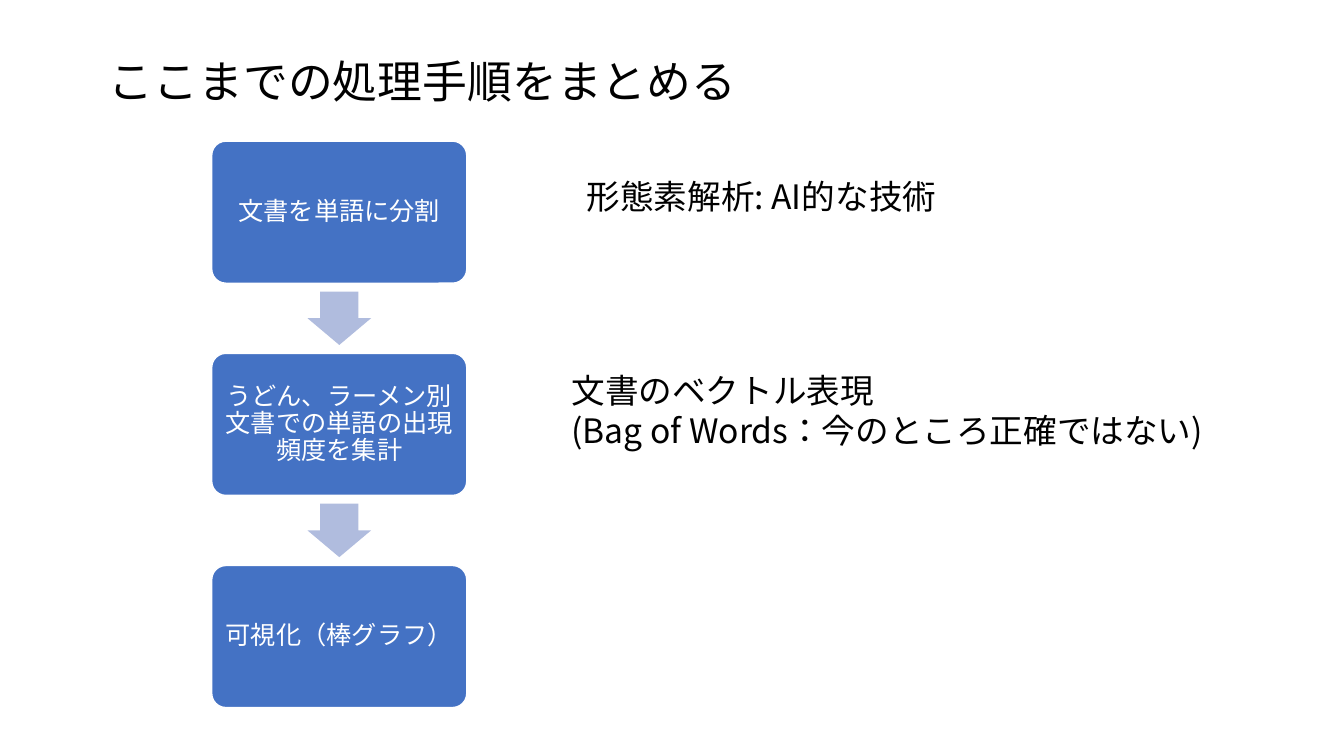
import pptx
import pptx.dml.color
import pptx.enum.lang
import pptx.enum.shapes
import pptx.enum.text
import pptx.util

Inches = pptx.util.Inches
SHAPES = pptx.enum.shapes.MSO_SHAPE
BLACK = pptx.dml.color.RGBColor(0x00, 0x00, 0x00)
WHITE = pptx.dml.color.RGBColor(0xFF, 0xFF, 0xFF)
STEP_BLUE = pptx.dml.color.RGBColor(0x44, 0x72, 0xC4)
ARROW_BLUE = pptx.dml.color.RGBColor(0xB0, 0xBC, 0xDE)

STEPS = ["文書を単語に分割", "うどん、ラーメン別文書での単語の出現頻度を集計", "可視化（棒グラフ）"]
STEP_LEFT, STEP_TOP, STEP_WIDTH, STEP_HEIGHT = 2.1, 1.4, 2.53, 1.41
STEP_PITCH = 2.105
ARROW_LENGTH, ARROW_BREADTH = 0.53, 0.63

# left, top, width, height, size, lines
TEXTS = [
    (0.98, 0.48, 6.48, 0.64, 32, ["ここまでの処理手順をまとめる"]),
    (5.72, 1.7, 3.85, 0.5, 24, ["形態素解析: AI的な技術"]),
    (5.57, 3.62, 6.73, 0.91, 24,
     ["文書のベクトル表現", "(Bag of Words：今のところ正確ではない)"]),
]


def add_span(para, text, font_name, size, color):
    span = para.add_run()
    span.text = text
    span.font.name = font_name
    span.font.size = pptx.util.Pt(size)
    span.font.color.rgb = color
    span.font.language_id = pptx.enum.lang.MSO_LANGUAGE_ID.JAPANESE


def add_filled_shape(kind, left, top, width, height, color):
    shape = page.shapes.add_shape(
        kind, Inches(left), Inches(top), Inches(width), Inches(height))
    shape.shadow.inherit = False
    shape.fill.solid()
    shape.fill.fore_color.rgb = color
    return shape


deck = pptx.Presentation()
deck.slide_width = Inches(13.33)
deck.slide_height = Inches(7.5)
page = deck.slides.add_slide(deck.slide_layouts[6])

for index, step in enumerate(STEPS):
    top = STEP_TOP + index * STEP_PITCH
    if index > 0:
        # The arrow is centred in the gap above this step
        middle = top - (STEP_PITCH - STEP_HEIGHT) / 2
        arrow = add_filled_shape(
            SHAPES.RIGHT_ARROW, STEP_LEFT + (STEP_WIDTH - ARROW_LENGTH) / 2,
            middle - ARROW_BREADTH / 2, ARROW_LENGTH, ARROW_BREADTH, ARROW_BLUE)
        arrow.rotation = 90
        arrow.adjustments[0] = 0.6
        arrow.adjustments[1] = 0.5
        arrow.line.fill.background()

    box = add_filled_shape(
        SHAPES.ROUNDED_RECTANGLE, STEP_LEFT, top, STEP_WIDTH, STEP_HEIGHT, STEP_BLUE)
    box.adjustments[0] = 0.1
    box.line.color.rgb = WHITE
    box.line.width = pptx.util.Pt(1)
    frame = box.text_frame
    frame.word_wrap = True
    frame.vertical_anchor = pptx.enum.text.MSO_ANCHOR.MIDDLE
    frame.margin_left = frame.margin_right = Inches(0.07)
    frame.margin_top = frame.margin_bottom = Inches(0.07)
    para = frame.paragraphs[0]
    para.alignment = pptx.enum.text.PP_ALIGN.CENTER
    para.line_spacing = 0.9
    add_span(para, step, "Calibri", 18, WHITE)

for left, top, width, height, size, lines in TEXTS:
    box = page.shapes.add_textbox(Inches(left), Inches(top), Inches(width), Inches(height))
    frame = box.text_frame
    frame.word_wrap = False
    frame.auto_size = pptx.enum.text.MSO_AUTO_SIZE.SHAPE_TO_FIT_TEXT
    for number, line in enumerate(lines):
        para = frame.add_paragraph() if number else frame.paragraphs[0]
        add_span(para, line, "Noto Sans CJK JP", size, BLACK)

deck.save("out.pptx")
